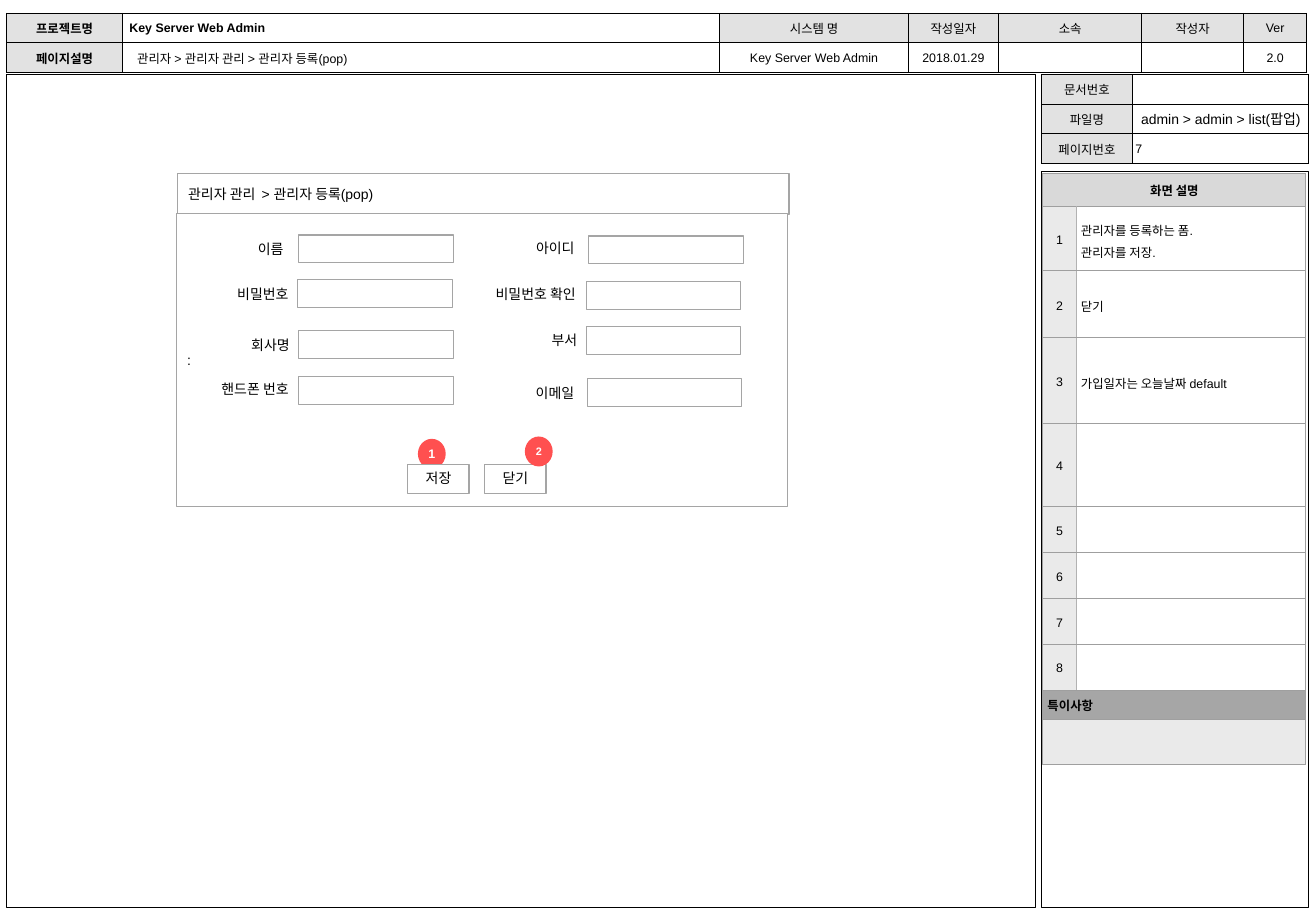
"""Builds the wireframe slide for the administrator registration popup."""
from pptx import Presentation
from pptx.dml.color import RGBColor
from pptx.enum.shapes import MSO_SHAPE
from pptx.enum.text import MSO_ANCHOR, MSO_AUTO_SIZE, PP_ALIGN
from pptx.oxml import parse_xml
from pptx.oxml.ns import nsdecls
from pptx.util import Pt

BLACK, WHITE, SHADE = "000000", "FFFFFF", "E2E2E2"
FRAME, GRID, DIVIDER, NUMBER_FILL = "A5A5A5", "9F9F9F", "B2B2B2", "EAEAEA"
LEFT, CENTER, RIGHT = PP_ALIGN.LEFT, PP_ALIGN.CENTER, PP_ALIGN.RIGHT
TOP, MIDDLE = MSO_ANCHOR.TOP, MSO_ANCHOR.MIDDLE
TEXT_INSETS = (7.2, 3.6)

BREADCRUMB = "관리자 > 관리자 관리 > 관리자 등록(pop)"
HEADER_ROWS = [
    ["프로젝트명", "Key Server Web Admin", "시스템 명", "작성일자", "소속", "작성자", "Ver"],
    ["페이지설명", "", "Key Server Web Admin", "2018.01.29", "", "", "2.0"],
]
HEADER_WIDTHS = [75, 385.9, 121.8, 58.3, 92.6, 65.7, 41]
DOCUMENT_ROWS = [["문서번호", ""], ["파일명", ""], ["페이지번호", ""]]
DESCRIPTIONS = [
    "관리자를 등록하는 폼.\n관리자를 저장.",
    "닫기",
    "가입일자는 오늘날짜 default",
    "", "", "", "", "",
]
DESCRIPTION_HEIGHTS = [21.5, 41.4, 43.2, 55.6, 53.5] + [29.7] * 4 + [18.7, 29.7]
FIELDS = [
    ("이름", 183.2, 155.5, 193, 151.9),
    ("아이디", 371.2, 154.8, 380.2, 152.6),
    ("비밀번호", 186.4, 184.3, 192.2, 180.7),
    ("비밀번호 확인", 372, 184.3, 378.7, 182.2),
    ("회사명", 187.2, 217.4, 193, 213.8),
    ("부서", 373, 214.6, 378.7, 211),
    ("핸드폰 번호", 186.5, 246.2, 193, 243.4),
    ("이메일", 371, 248.4, 379.4, 244.8),
]
FIELD_SIZE = (100, 18)
LABEL_SIZE = (72, 10.8)


def color(value):
    return RGBColor.from_string(value)


def write(frame, text, size, align=LEFT, bold=False, ink=BLACK, spacing=None):
    frame.text = text
    for paragraph in frame.paragraphs:
        paragraph.alignment = align
        if spacing:
            paragraph.line_spacing = spacing
        font = paragraph.font
        font.name, font.size, font.bold = "Arial", Pt(size), bold
        font.color.rgb = color(ink)


def set_insets(holder, horizontal, vertical):
    holder.margin_left = holder.margin_right = Pt(horizontal)
    holder.margin_top = holder.margin_bottom = Pt(vertical)


def place_text(frame, text, size, insets=(0, 0), anchor=TOP, **style):
    frame.word_wrap = True
    frame.auto_size = MSO_AUTO_SIZE.NONE
    frame.vertical_anchor = anchor
    set_insets(frame, *insets)
    write(frame, text, size, **style)


def add_text(slide, box, text, size, **style):
    shape = slide.shapes.add_textbox(*map(Pt, box))
    place_text(shape.text_frame, text, size, **style)


def add_box(slide, box, fill=WHITE, line=FRAME, kind=MSO_SHAPE.RECTANGLE):
    shape = slide.shapes.add_shape(kind, *map(Pt, box))
    shape.shadow.inherit = False
    shape.fill.solid()
    shape.fill.fore_color.rgb = color(fill)
    if line:
        shape.line.color.rgb = color(line)
        shape.line.width = Pt(0.75)
    else:
        shape.line.fill.background()
    return shape


def add_badge(slide, left, top, number, size):
    badge = add_box(slide, (left, top, 18, 19.4), "FF5050", None, MSO_SHAPE.OVAL)
    place_text(badge.text_frame, number, size, anchor=MIDDLE,
               align=CENTER, bold=True, ink=WHITE)


def add_button(slide, left, text):
    button = add_box(slide, (left, 300.2, 39.6, 18.7))
    place_text(button.text_frame, text, 9, TEXT_INSETS, align=CENTER)


def add_grid(slide, left, top, widths, heights):
    table = slide.shapes.add_table(
        len(heights), len(widths), Pt(left), Pt(top),
        Pt(sum(widths)), Pt(sum(heights))).table
    table.first_row = table.horz_banding = False
    for column, width in zip(table.columns, widths):
        column.width = Pt(width)
    for row, height in zip(table.rows, heights):
        row.height = Pt(height)
    return table


def fill_cell(cell, text, fill, insets, borders, **style):
    properties = cell._tc.get_or_add_tcPr()
    for side, line in zip("LRTB", borders):
        properties.append(parse_xml(
            f'<a:ln{side} {nsdecls("a")} w="9525"><a:solidFill>'
            f'<a:srgbClr val="{line}"/></a:solidFill></a:ln{side}>'))
    if fill:
        cell.fill.solid()
        cell.fill.fore_color.rgb = color(fill)
    else:
        cell.fill.background()
    cell.vertical_anchor = MIDDLE
    set_insets(cell, *insets)
    write(cell.text_frame, text, 8, **style)


def add_form_table(slide, left, top, widths, rows, is_shaded, bold_cells=()):
    heights = [19.2] * len(rows)
    table = add_grid(slide, left, top, widths, heights)
    for row, texts in enumerate(rows):
        for column, text in enumerate(texts):
            fill_cell(table.cell(row, column), text,
                      SHADE if is_shaded(row, column) else WHITE,
                      (4.3, 3.6), [BLACK] * 4,
                      align=LEFT if column == 1 else CENTER,
                      bold=(row, column) in bold_cells)


def add_descriptions(slide):
    table = add_grid(slide, 673.9, 112.3, [21.6, 148.3], DESCRIPTION_HEIGHTS)
    insets, plain = (2.9, 2.9), [GRID] * 4
    last = len(DESCRIPTION_HEIGHTS) - 1
    bands = [(0, "화면 설명", "D9D9D9", CENTER),
             (last - 1, "특이사항", "A6A6A6", LEFT),
             (last, "", NUMBER_FILL, LEFT)]
    for row, text, fill, align in bands:
        table.cell(row, 0).merge(table.cell(row, 1))
        fill_cell(table.cell(row, 0), text, fill, insets, plain, align=align, bold=True)
        fill_cell(table.cell(row, 1), "", fill, insets, plain)
    for row, text in enumerate(DESCRIPTIONS, 1):
        fill_cell(table.cell(row, 0), str(row), NUMBER_FILL, insets,
                  [GRID, DIVIDER, GRID, GRID], align=CENTER, spacing=1.2)
        fill_cell(table.cell(row, 1), text, None, insets,
                  [DIVIDER, GRID, GRID, GRID], spacing=1.2)


def add_popup(slide):
    heading = add_box(slide, (114.5, 112.3, 395.3, 26.6))
    place_text(heading.text_frame, "관리자 관리  > 관리자 등록(pop)", 9, TEXT_INSETS, MIDDLE)
    body = add_box(slide, (113.8, 138.2, 395.3, 189.4))
    place_text(body.text_frame, ":", 9, TEXT_INSETS, MIDDLE)
    add_badge(slide, 270, 283.7, "1", 8)
    add_button(slide, 263.5, "저장")
    add_button(slide, 313.2, "닫기")
    add_badge(slide, 339.1, 282.2, "2", 7)
    for label, label_right, label_top, left, top in FIELDS:
        add_box(slide, (left, top, *FIELD_SIZE))
        add_text(slide, (label_right - LABEL_SIZE[0], label_top, *LABEL_SIZE),
                 label, 9, align=RIGHT)


def main():
    presentation = Presentation()
    presentation.slide_width, presentation.slide_height = Pt(850.3), Pt(595.4)
    slide = presentation.slides.add_slide(presentation.slide_layouts[5])
    add_form_table(slide, 673.2, 48.2, [58.3, 113.8], DOCUMENT_ROWS,
                   lambda row, column: column == 0)
    add_form_table(slide, 4.3, 8.6, HEADER_WIDTHS, HEADER_ROWS,
                   lambda row, column: column == 0 or (row == 0 and column != 1),
                   [(0, 0), (0, 1), (1, 0)])
    add_text(slide, (726.5, 87.8, 37.4, 17.3), "7", 8, insets=TEXT_INSETS)
    add_box(slide, (4.3, 48.2, 664.6, 538.6), line=BLACK)
    add_box(slide, (673.2, 110.9, 172.1, 475.9), line=BLACK)
    add_descriptions(slide)
    title = slide.shapes.title
    title.left, title.top, title.width, title.height = map(Pt, (81.4, 29.5, 259.2, 14.4))
    place_text(title.text_frame, BREADCRUMB, 8, TEXT_INSETS)
    slide.shapes._spTree.append(title._element)
    add_text(slide, (737.3, 71.3, 112, 10.8), "admin > admin > list(팝업)", 9)
    add_popup(slide)
    presentation.save("out.pptx")


if __name__ == "__main__":
    main()
